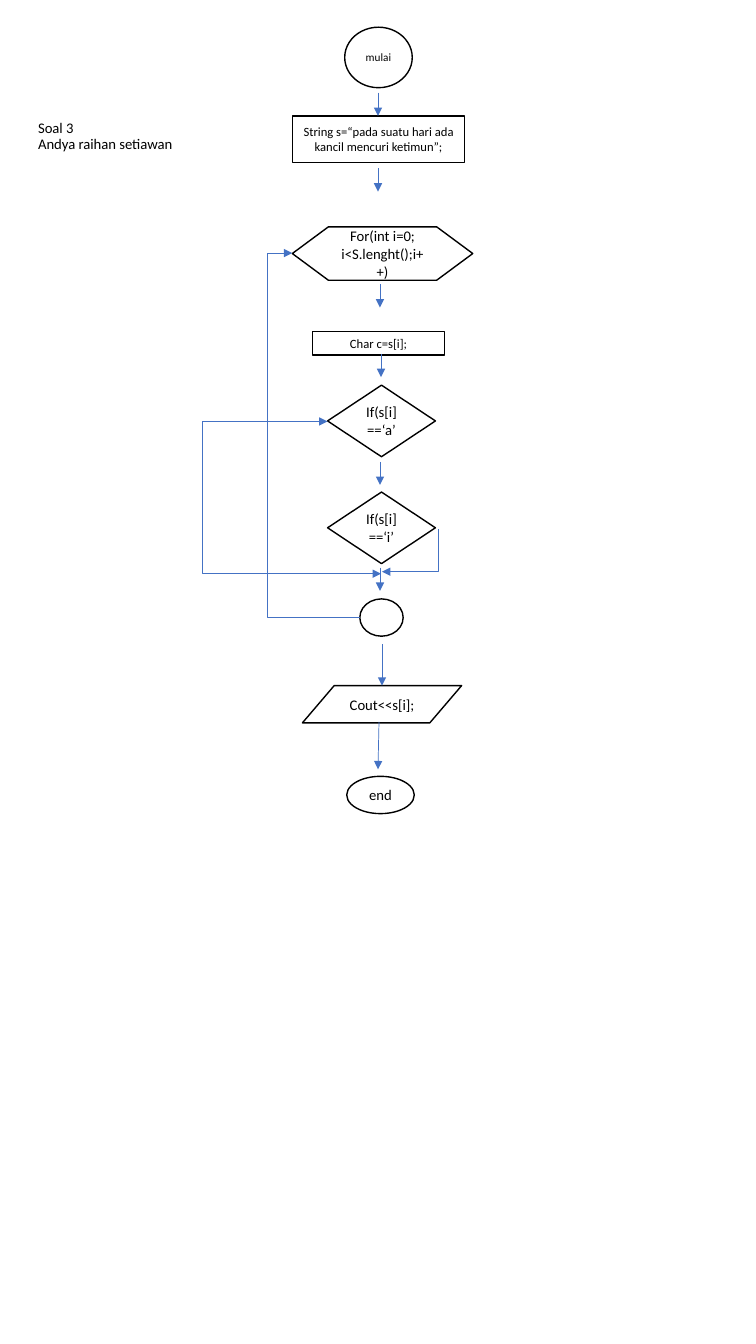
"""Build a flowchart slide for a string loop exercise."""
from pptx import Presentation
from pptx import util as u
from pptx.dml import color
from pptx.enum import shapes, text
from pptx.oxml import ns
from lxml import etree

KIND = shapes.MSO_SHAPE


def rgb(value):
    """Turn a hex string into a colour."""
    return color.RGBColor.from_string(value)


def write(s, content, size=10.5, align=text.PP_ALIGN.CENTER, spacing=1.0,
          font="Calibri", ink="000000"):
    """Write one formatted paragraph into a shape."""
    tf = s.text_frame
    tf.word_wrap = True
    tf.vertical_anchor = text.MSO_ANCHOR.MIDDLE
    p = tf.paragraphs[0]
    p.text = content
    p.alignment = align
    p.line_spacing = spacing
    for r in p.runs:
        r.font.name = font
        r.font.size = u.Pt(size)
        r.font.color.rgb = rgb(ink)


class Flowchart:
    """Hold the style and the current slide."""

    fill, outline, arrow_ink = "FFFFFF", "000000", "4472C4"
    outline_width, arrow_width = 1, 0.5

    def __init__(self, prs):
        """Add a blank slide."""
        self.slide = prs.slides.add_slide(prs.slide_layouts[6])

    def node(self, kind, x, y, w, h, content="", size=10.5):
        """Draw a flowchart symbol with centred text."""
        s = self.slide.shapes.add_shape(kind, *map(u.Inches, (x, y, w, h)))
        s.shadow.inherit = False
        s.fill.solid()
        s.fill.fore_color.rgb = rgb(self.fill)
        s.line.color.rgb = rgb(self.outline)
        s.line.width = u.Pt(self.outline_width)
        if content:
            write(s, content, size=size)

    def label(self, x, y, w, h, content):
        """Place a left-aligned text box."""
        s = self.slide.shapes.add_textbox(*map(u.Inches, (x, y, w, h)))
        write(s, content, align=text.PP_ALIGN.LEFT, spacing=0.9)

    def arrow(self, x1, y1, x2, y2, bend=None, ends=("tailEnd",)):
        """Draw a straight arrow, or an elbow one that turns at x = bend."""
        types = shapes.MSO_CONNECTOR
        kind = types.STRAIGHT if bend is None else types.ELBOW
        s = self.slide.shapes.add_connector(kind, *map(u.Inches, (x1, y1, x2, y2)))
        s.line.color.rgb = rgb(self.arrow_ink)
        s.line.width = u.Pt(self.arrow_width)
        props = s._element.spPr
        for end in ends:
            etree.SubElement(s.line._get_or_add_ln(), ns.qn(f"a:{end}"), type="triangle")
        etree.SubElement(props, ns.qn("a:effectLst"))
        if bend is not None:
            ratio = round((bend - x1) / (x2 - x1) * 100000)
            guides = props.find(".//" + ns.qn("a:avLst"))
            etree.SubElement(guides, ns.qn("a:gd"), name="adj1", fmla=f"val {ratio}")


def main():
    """Build and save the slide."""
    prs = Presentation()
    prs.slide_width, prs.slide_height = u.Inches(7.5), u.Inches(13.33)
    chart = Flowchart(prs)

    chart.label(0.28, 0.07, 6.47, 2.58, "Soal 3\vAndya raihan setiawan")

    chart.node(KIND.FLOWCHART_CONNECTOR, 3.42, 0.27, 0.67, 0.6, "mulai", size=8)
    chart.node(KIND.FLOWCHART_PROCESS, 2.9, 1.15, 1.71, 0.46,
               "String s=“pada suatu hari ada kancil mencuri ketimun”;", size=9)
    chart.node(KIND.FLOWCHART_PREPARATION, 2.9, 2.25, 1.79, 0.53,
               "For(int i=0; i<S.lenght();i++)")
    chart.node(KIND.FLOWCHART_PROCESS, 3.1, 3.29, 1.31, 0.23, "Char c=s[i];", size=9)
    for y, letter in ((3.82, "a"), (4.88, "i")):
        chart.node(KIND.FLOWCHART_DECISION, 3.25, y, 1.07, 0.71, f"If(s[i]==‘{letter}’")
    chart.node(KIND.FLOWCHART_CONNECTOR, 3.57, 5.94, 0.43, 0.37)
    chart.node(KIND.FLOWCHART_DATA, 3, 6.8, 1.58, 0.37, "Cout<<s[i];")
    chart.node(KIND.FLOWCHART_CONNECTOR, 3.44, 7.7, 0.67, 0.37, "end")

    for x, y in ((3.75, 0.92), (3.75, 1.67), (3.77, 2.82),
                 (3.78, 3.51), (3.77, 4.58), (3.77, 5.63)):
        chart.arrow(x, y, x, y + 0.23)
    chart.arrow(3.79, 6.39, 3.79, 6.8)
    chart.arrow(3.76, 7.16, 3.75, 7.63)

    chart.arrow(3.57, 6.12, 2.9, 2.51, bend=2.65)
    chart.arrow(3.25, 4.18, 3.78, 5.69, bend=2.01, ends=("headEnd", "tailEnd"))
    chart.arrow(4.35, 5.25, 3.79, 5.67, bend=4.35)

    prs.save("out.pptx")


if __name__ == "__main__":
    main()
